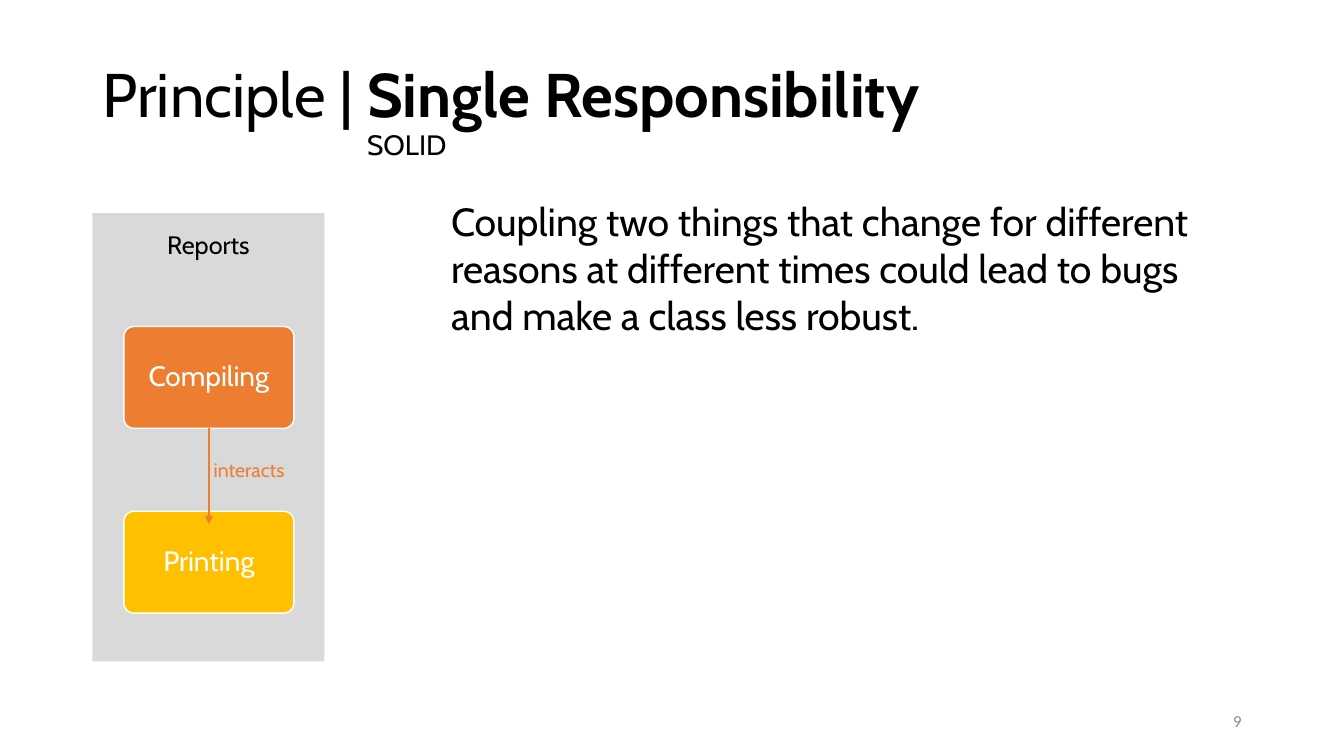
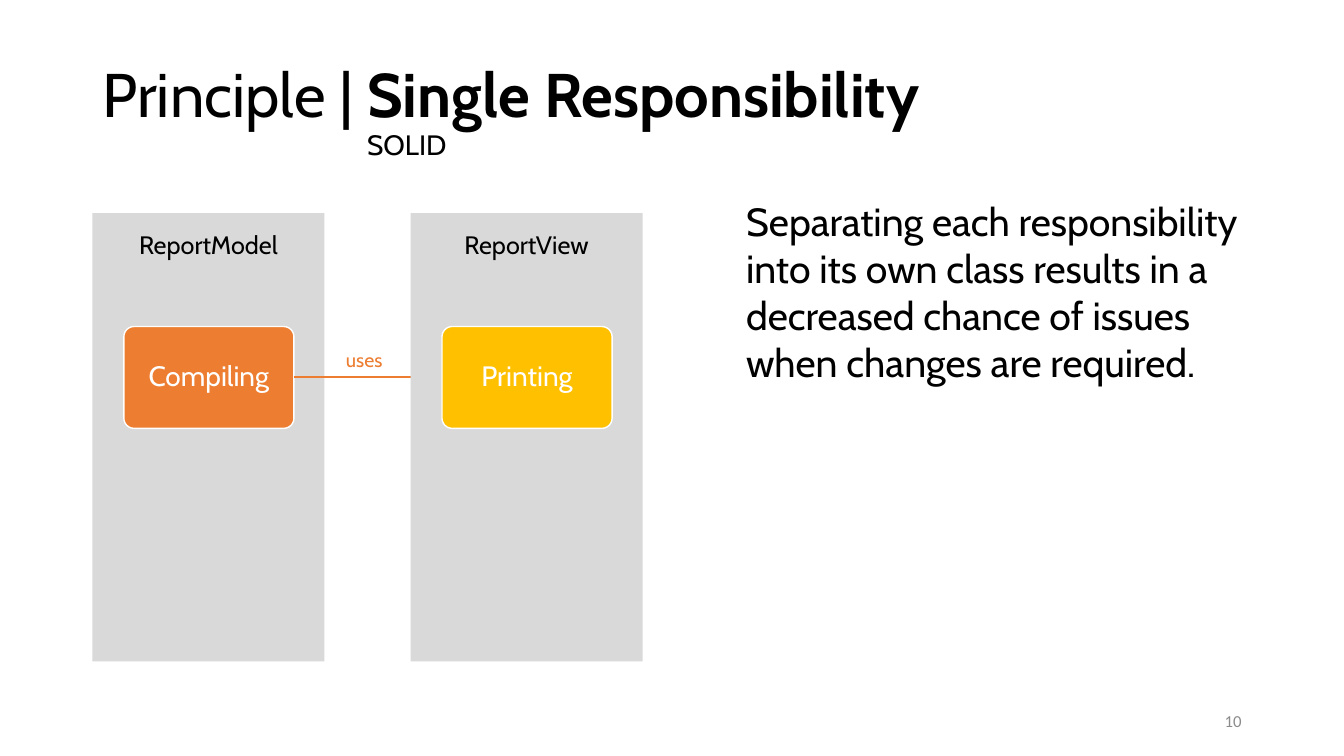
"""Build two slides on the single responsibility principle."""
from lxml.etree import SubElement
from pptx import Presentation
from pptx.dml.color import RGBColor
from pptx.enum.shapes import MSO_CONNECTOR, MSO_SHAPE
from pptx.enum.text import MSO_ANCHOR, MSO_AUTO_SIZE, PP_ALIGN
from pptx.oxml.ns import qn
from pptx.util import Pt

PX = 9525
FONT = "Cabin"
BLACK = RGBColor(0x00, 0x00, 0x00)
WHITE = RGBColor(0xFF, 0xFF, 0xFF)
GRAY = RGBColor(0x8C, 0x8C, 0x8C)
PANEL = RGBColor(0xD9, 0xD9, 0xD9)
ORANGE = RGBColor(0xED, 0x7D, 0x31)
YELLOW = RGBColor(0xFF, 0xC0, 0x00)

PANEL_TOP, PANEL_WIDTH, PANEL_HEIGHT = 203, 221, 427
BLOCK_TOP, BLOCK_WIDTH, BLOCK_HEIGHT = 311, 162, 97
LEFT_PANEL, RIGHT_PANEL = 88, 391
BLOCK_INSET = 30
LEFT_BLOCK = LEFT_PANEL + BLOCK_INSET
RIGHT_BLOCK = RIGHT_PANEL + BLOCK_INSET
LOWER_BLOCK_TOP = 487


def add_block(page, text, left, top, fill=None):
    """Add a colored block, or a gray panel when no fill is given."""
    kind = MSO_SHAPE.ROUNDED_RECTANGLE if fill else MSO_SHAPE.RECTANGLE
    width, height = (BLOCK_WIDTH, BLOCK_HEIGHT) if fill else (PANEL_WIDTH, PANEL_HEIGHT)
    block = page.shapes.add_shape(kind, left * PX, top * PX, width * PX, height * PX)
    block.shadow.inherit = False
    block.fill.solid()
    block.fill.fore_color.rgb = fill or PANEL
    frame = block.text_frame
    frame.word_wrap = True
    if fill:
        block.adjustments[0] = 0.1
        block.line.color.rgb = WHITE
        block.line.width = Pt(1)
        frame.vertical_anchor = MSO_ANCHOR.MIDDLE
    else:
        block.line.fill.background()
        frame.vertical_anchor = MSO_ANCHOR.TOP
        frame.margin_top = 15 * PX
    para = frame.paragraphs[0]
    para.text = text
    para.alignment = PP_ALIGN.CENTER
    para.line_spacing = 0.9 if fill else 1.0
    para.font.name = FONT
    para.font.size = Pt(20 if fill else 18)
    para.font.color.rgb = WHITE if fill else BLACK


def add_arrow(page, start, end, text, left, top, width):
    """Add an orange arrow and its label."""
    points = [value * PX for value in (*start, *end)]
    arrow = page.shapes.add_connector(MSO_CONNECTOR.STRAIGHT, *points)
    arrow.line.color.rgb = ORANGE
    arrow.line.width = Pt(1.5)
    SubElement(arrow.line._get_or_add_ln(), qn("a:tailEnd"), type="triangle")
    SubElement(arrow._element.spPr, qn("a:effectLst"))
    label = page.shapes.add_textbox(left * PX, top * PX, width * PX, 33 * PX)
    label.text_frame.word_wrap = False
    para = label.text_frame.paragraphs[0]
    para.text = text
    para.font.name = FONT
    para.font.size = Pt(14)
    para.font.color.rgb = ORANGE


deck = Presentation()
deck.slide_width, deck.slide_height = 1280 * PX, 720 * PX

messages = [
    (9, 420, "Coupling two things that change for different reasons at different "
     "times could lead to bugs and make a class less robust."),
    (10, 701, "Separating each responsibility into its own class results in a "
     "decreased chance of issues when changes are required."),
]
pages = []
for number, body_left, message in messages:
    page = deck.slides.add_slide(deck.slide_layouts[1])
    pages.append(page)

    title, body = page.placeholders
    title.left, title.top, title.width, title.height = 88 * PX, 38 * PX, 1104 * PX, 139 * PX
    title.text_frame.vertical_anchor = MSO_ANCHOR.MIDDLE
    title.text_frame.auto_size = MSO_AUTO_SIZE.NONE
    para = title.text_frame.paragraphs[0]
    para.alignment = PP_ALIGN.LEFT
    para.font.name = FONT
    para.font.color.rgb = BLACK
    for text, size, bold in [("Principle | ", 44, False),
                             ("Single Responsibility", 44, True),
                             ("\tSOLID", 20, False)]:
        if text.startswith("\t"):
            para.add_line_break()
        span = para.add_run()
        span.text = text
        span.font.size = Pt(size)
        span.font.bold = bold
    tabs = SubElement(para._p.get_or_add_pPr(), qn("a:tabLst"))
    SubElement(tabs, qn("a:tab"), pos=str(252 * PX), algn="l")
    para._p.pPr.insert(0, tabs)
    para.line_spacing = 0.9

    body.left, body.top = body_left * PX, 183 * PX
    body.width, body.height = (1192 - body_left) * PX, 495 * PX
    body.text_frame.auto_size = MSO_AUTO_SIZE.NONE
    para = body.text_frame.paragraphs[0]
    para.text = message
    properties = para._p.get_or_add_pPr()
    properties.set("marL", "0")
    properties.set("indent", "0")
    SubElement(properties, qn("a:buNone"))
    para.space_before = para.space_after = Pt(12)
    para.font.name = FONT
    para.font.size = Pt(28)
    para.font.color.rgb = BLACK

    box = page.shapes.add_textbox(904 * PX, 667 * PX, 288 * PX, 38 * PX)
    box.text_frame.word_wrap = True
    box.text_frame.vertical_anchor = MSO_ANCHOR.MIDDLE
    para = box.text_frame.paragraphs[0]
    para.text = str(number)
    para.alignment = PP_ALIGN.RIGHT
    para.font.name = "Calibri"
    para.font.size = Pt(12)
    para.font.color.rgb = GRAY

coupled, separated = pages

add_block(coupled, "Reports", LEFT_PANEL, PANEL_TOP)
add_block(coupled, "Compiling", LEFT_BLOCK, BLOCK_TOP, ORANGE)
add_block(coupled, "Printing", LEFT_BLOCK, LOWER_BLOCK_TOP, YELLOW)
add_arrow(coupled, (199, BLOCK_TOP + BLOCK_HEIGHT), (199, 499), "interacts", 194, 431, 90)

add_block(separated, "ReportModel", LEFT_PANEL, PANEL_TOP)
add_block(separated, "Compiling", LEFT_BLOCK, BLOCK_TOP, ORANGE)
add_arrow(separated, (LEFT_BLOCK + BLOCK_WIDTH, 359), (RIGHT_BLOCK, 359), "uses", 320, 327, 56)
add_block(separated, "ReportView", RIGHT_PANEL, PANEL_TOP)
add_block(separated, "Printing", RIGHT_BLOCK, BLOCK_TOP, YELLOW)

deck.save("out.pptx")
